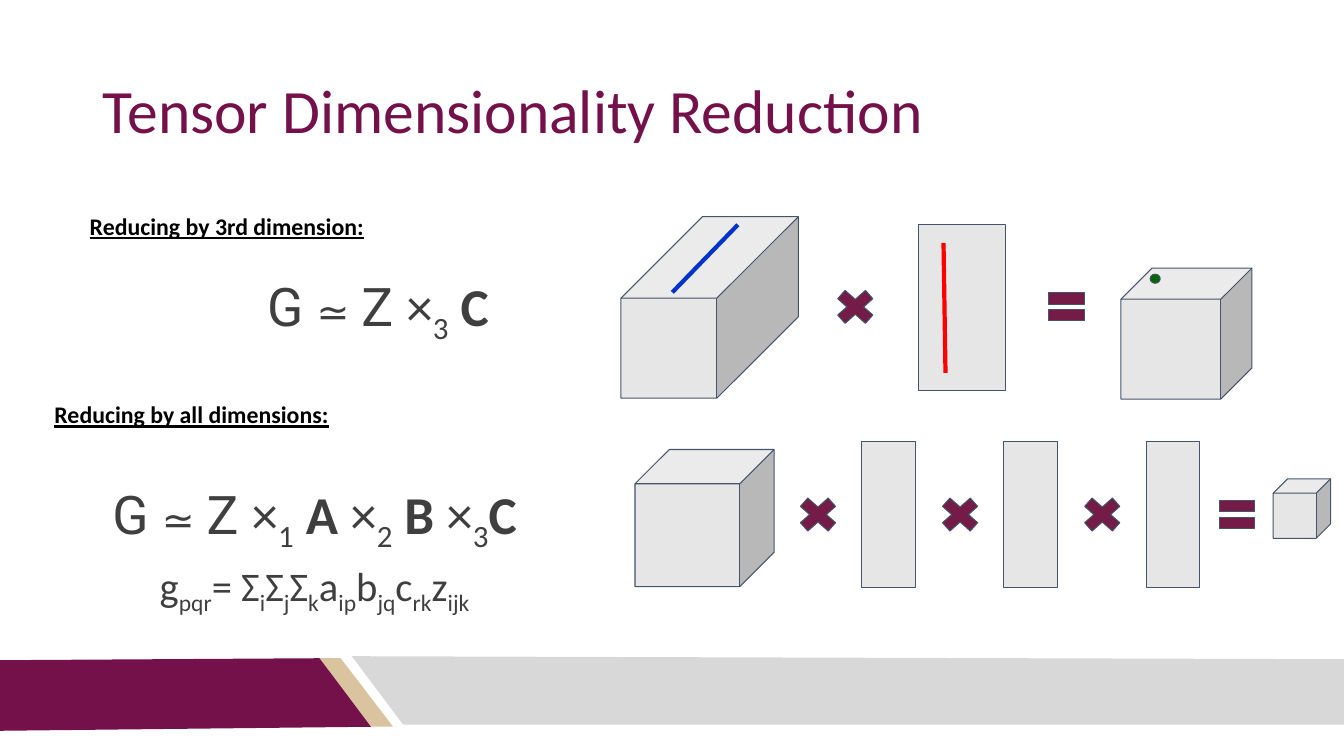
from dataclasses import dataclass

import pptx
import pptx.dml.color
import pptx.enum.shapes
import pptx.enum.text
import pptx.oxml.ns
import pptx.util
from lxml import etree

RGBColor = pptx.dml.color.RGBColor
Kind = pptx.enum.shapes.MSO_SHAPE
Align = pptx.enum.text.PP_ALIGN
Anchor = pptx.enum.text.MSO_ANCHOR

MAROON = RGBColor(0x75, 0x11, 0x4A)
PLUM = RGBColor(0x74, 0x1B, 0x47)
SAND = RGBColor(0xD9, 0xC4, 0x9F)
SILVER = RGBColor(0xD8, 0xD8, 0xD8)
PALE = RGBColor(0xE7, 0xE6, 0xE6)
SLATE = RGBColor(0x44, 0x54, 0x6A)
CHARCOAL = RGBColor(0x3F, 0x3F, 0x3F)
BLACK = RGBColor(0, 0, 0)
RED = RGBColor(0xFF, 0, 0)
BLUE = RGBColor(0, 0x33, 0xCC)
GREEN = RGBColor(0, 0x66, 0)

COLUMNS, ROWS = 133.33, 75
SLIDE_WIDTH, SLIDE_HEIGHT = pptx.util.Inches(13.33), pptx.util.Inches(7.5)


@dataclass(frozen=True)
class Area:
    column: float
    row: float
    columns: float
    rows: float


@dataclass(frozen=True)
class Figure:
    kind: Kind
    area: Area
    fill: RGBColor = PALE
    adjustments: tuple[float, ...] = ()


@dataclass(frozen=True)
class Stroke:
    start: tuple[float, float]
    end: tuple[float, float]
    color: RGBColor


@dataclass(frozen=True)
class Band:
    points: tuple[tuple[float, float], ...]
    fill: RGBColor


@dataclass(frozen=True)
class Span:
    text: str
    size: float = 38
    font: str = "Calibri"
    color: RGBColor = CHARCOAL
    bold: bool = False
    underline: bool = False
    lowered: bool = False


@dataclass(frozen=True)
class TextBlock:
    area: Area
    lines: tuple[tuple[Span, ...], ...]
    align: Align = Align.LEFT
    anchor: Anchor = Anchor.MIDDLE
    line_spacing: float = 0.9


def across(columns: float) -> int:
    return round(SLIDE_WIDTH * columns / COLUMNS)


def down(rows: float) -> int:
    return round(SLIDE_HEIGHT * rows / ROWS)


def place(area: Area) -> tuple[int, int, int, int]:
    return across(area.column), down(area.row), across(area.columns), down(area.rows)


def draw_band(page, band: Band) -> None:
    points = [(across(column), down(row)) for column, row in band.points]
    builder = page.shapes.build_freeform(*points[0], scale=1.0)
    builder.add_line_segments(points[1:], close=True)
    shape = builder.convert_to_shape()
    shape.shadow.inherit = False
    shape.fill.solid()
    shape.fill.fore_color.rgb = band.fill
    shape.line.fill.background()


def draw_figure(page, figure: Figure) -> None:
    shape = page.shapes.add_shape(figure.kind, *place(figure.area))
    shape.shadow.inherit = False
    for index, value in enumerate(figure.adjustments):
        shape.adjustments[index] = value
    shape.fill.solid()
    shape.fill.fore_color.rgb = figure.fill
    shape.line.color.rgb = SLATE
    shape.line.width = pptx.util.Pt(0.75)


def draw_stroke(page, stroke: Stroke) -> None:
    (left, top), (right, bottom) = stroke.start, stroke.end
    line = page.shapes.add_connector(
        pptx.enum.shapes.MSO_CONNECTOR.STRAIGHT,
        across(left), down(top), across(right), down(bottom))
    line.line.color.rgb = stroke.color
    line.line.width = pptx.util.Pt(3)
    etree.SubElement(line._element.spPr, pptx.oxml.ns.qn("a:effectLst"))


def draw_text(page, block: TextBlock) -> None:
    box = page.shapes.add_textbox(*place(block.area))
    frame = box.text_frame
    frame.word_wrap = True
    frame.vertical_anchor = block.anchor
    frame.margin_left = frame.margin_right = across(1)
    frame.margin_top = frame.margin_bottom = down(1)
    for index, spans in enumerate(block.lines):
        para = frame.add_paragraph() if index else frame.paragraphs[0]
        para.alignment = block.align
        para.line_spacing = block.line_spacing
        if index:
            para.space_before = pptx.util.Pt(10)
        for span in spans:
            run = para.add_run()
            run.text = span.text
            run.font.size = pptx.util.Pt(span.size)
            run.font.name = span.font
            run.font.color.rgb = span.color
            run.font.bold = span.bold
            run.font.underline = span.underline
            if span.lowered:
                run.font._element.set("baseline", "-25000")


def heading(column: float, row: float, text: str) -> TextBlock:
    span = Span(text, size=17, color=BLACK, bold=True, underline=True)
    return TextBlock(Area(column, row, 31.6, 4.9), ((span,),), anchor=Anchor.TOP, line_spacing=1.0)


def cube(area: Area, depth: float) -> Figure:
    return Figure(Kind.CUBE, area, adjustments=(depth,))


def times(column: float, row: float) -> Figure:
    return Figure(Kind.MATH_MULTIPLY, Area(column, row, 5.3, 4.7), PLUM, (0.235,))


def equals(column: float, row: float) -> Figure:
    return Figure(Kind.MATH_EQUAL, Area(column, row, 4.8, 4.7), PLUM, (0.235, 0.118))


def product(mode: str) -> tuple[Span, ...]:
    return Span("×"), Span(mode, lowered=True)


def sum_formula(*terms: tuple[str, str]) -> tuple[Span, ...]:
    return tuple(Span(text, size=29, lowered=lowered)
                 for base, indices in terms
                 for text, lowered in ((base, False), (indices, True)))


CORE = (Span("G ", font="Roboto"), Span("≃", size=28), Span(" ", bold=True),
        Span("Z ", font="Roboto"))
ONE_MODE = (*CORE, *product("3"), Span(" C", bold=True))
ALL_MODES = (*CORE, *product("1"), Span(" A ", bold=True), *product("2"),
             Span(" B ", bold=True), *product("3"), Span("C", bold=True))
ELEMENTWISE = sum_formula(("g", "pqr"), ("= Σ", "i"), ("Σ", "j"), ("Σ", "k"), ("a", "ip"),
                          ("b", "jq"), ("c", "rk"), ("z", "ijk"))

BANDS = (
    Band(((31.6, 65.3), (33.8, 65.3), (39, 72.1), (36.7, 72.1)), SAND),
    Band(((-0.1, 65.5), (31.7, 65.3), (36.8, 72.1), (-0.1, 72.5)), MAROON),
    Band(((133.7, 71.9), (40, 71.9), (34.9, 65.1), (133.4, 65.4)), SILVER),
)
TEXTS = (
    TextBlock(Area(9.2, 4, 115, 14.5),
              ((Span("Tensor Dimensionality Reduction", size=44, color=MAROON),),)),
    heading(7.9, 20, "Reducing by 3rd dimension:"),
    TextBlock(Area(16.4, 22.6, 42.2, 15.7), (ONE_MODE,), Align.CENTER),
    heading(4.4, 38.7, "Reducing by all dimensions:"),
    TextBlock(Area(5.5, 46.4, 51.4, 15.7), (ALL_MODES, ELEMENTWISE), Align.CENTER),
)
FACTOR_PITCH = 14.1
FACTORS = tuple(
    figure for index in range(3)
    for figure in (times(78.5 + index * FACTOR_PITCH, 48.7),
                   Figure(Kind.RECTANGLE, Area(85.5 + index * FACTOR_PITCH, 43.8, 5.3, 14.5))))
FIGURES = (
    cube(Area(61.6, 21.5, 17.6, 18), 0.459),
    times(82.2, 28.1),
    Figure(Kind.RECTANGLE, Area(91.1, 22.3, 8.7, 16.4)),
    equals(103.4, 28.1),
    cube(Area(111.2, 26.6, 13, 13), 0.238),
    Figure(Kind.OVAL, Area(114.1, 27.2, 1, 0.9), GREEN),
    cube(Area(63, 44.6, 13.8, 13.6), 0.25),
    *FACTORS,
    equals(120.3, 48.7),
    cube(Area(126.3, 47.5, 5.7, 5.9), 0.25),
)
STROKES = (
    Stroke((66.7, 29), (73.2, 22.3), BLUE),
    Stroke((93.6, 24.1), (93.8, 37), RED),
)


def main() -> None:
    deck = pptx.Presentation()
    deck.slide_width, deck.slide_height = SLIDE_WIDTH, SLIDE_HEIGHT
    page = deck.slides.add_slide(deck.slide_layouts[6])
    for draw, items in ((draw_band, BANDS), (draw_text, TEXTS),
                        (draw_figure, FIGURES), (draw_stroke, STROKES)):
        for item in items:
            draw(page, item)
    deck.save("out.pptx")


if __name__ == "__main__":
    main()
